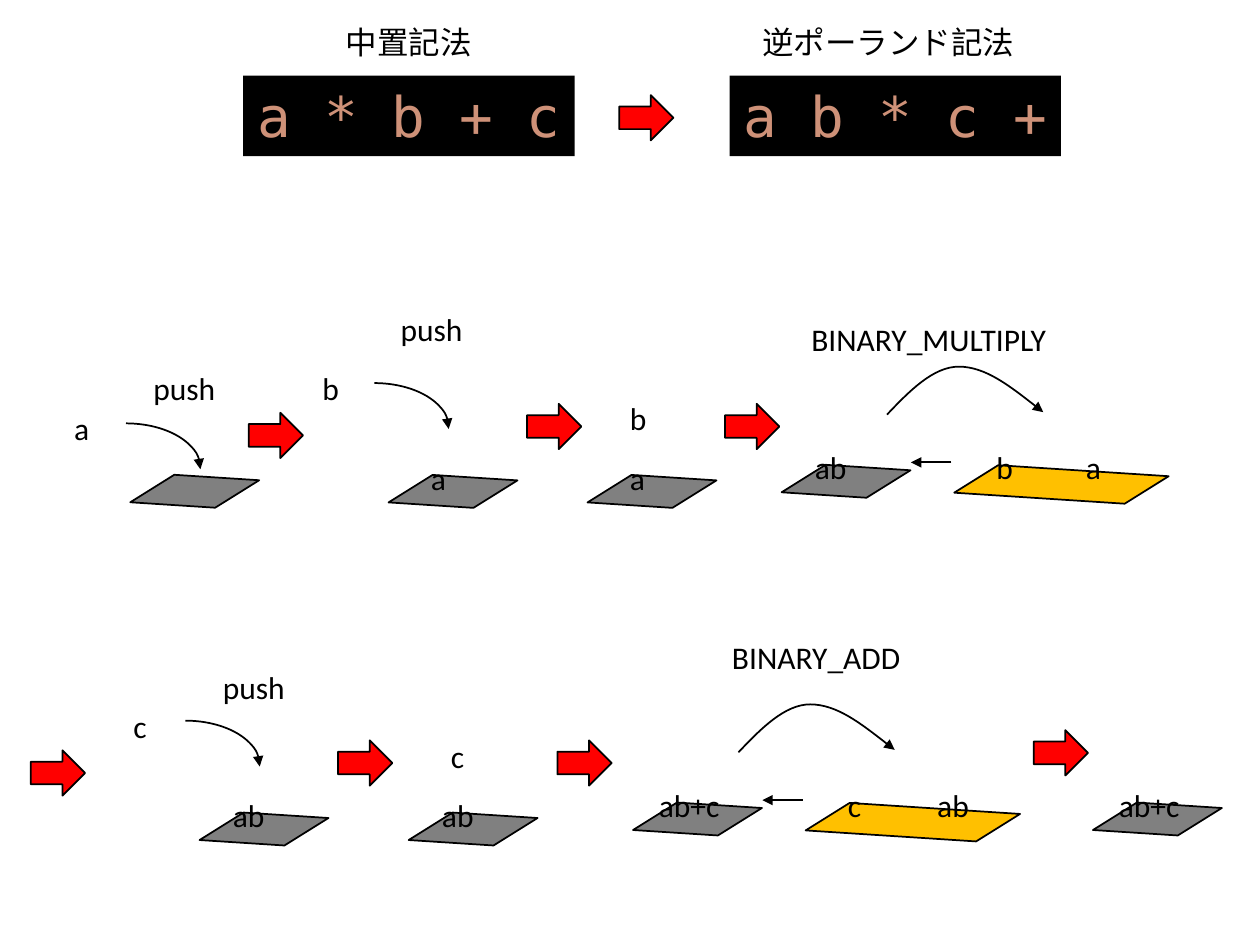
from dataclasses import dataclass
from lxml.etree import SubElement
from pptx import Presentation
from pptx.dml.color import RGBColor
from pptx.enum.shapes import MSO_CONNECTOR as Connector, MSO_SHAPE as Shape
from pptx.enum.text import MSO_ANCHOR as Anchor, MSO_AUTO_SIZE as AutoSize, PP_ALIGN as Align
from pptx.oxml.ns import qn
from pptx.util import Pt


@dataclass(frozen=True)
class Theme:
    ink: RGBColor = RGBColor(0, 0, 0)
    code: RGBColor = RGBColor(0xCE, 0x91, 0x78)
    arrow: RGBColor = RGBColor(0xFF, 0, 0)
    stack: RGBColor = RGBColor(0x80, 0x80, 0x80)
    operands: RGBColor = RGBColor(0xFF, 0xC0, 0)
    body_font: str = "Calibri"
    code_font: str = "DejaVu Sans Mono"
    body_size: int = 18
    code_size: int = 32
    line: float = 1


THEME = Theme()
LABEL_HEIGHT = 29.1
PLATE_WIDTH, OPERANDS_WIDTH, PLATE_HEIGHT = 72.7, 121.7, 17.3
VALUE_RISE = 13.7
VALUE_WIDTH = {"a": 24.5, "b": 24.5, "c": 22.3, "ab": 33.1, "ab+c": 49.7}
VALUE_INSET = {"a": 16.6, "b": 16.6, "c": 16.6, "ab": 11.5, "ab+c": 7.2}


def write(shape, text, font, size, color, align):
    frame = shape.text_frame
    frame.word_wrap = False
    frame.auto_size = AutoSize.SHAPE_TO_FIT_TEXT
    frame.vertical_anchor = Anchor.TOP
    frame.text = text
    paragraph = frame.paragraphs[0]
    paragraph.alignment = align
    run_font = paragraph.runs[0].font
    run_font.name, run_font.size, run_font.color.rgb = font, Pt(size), color


def add_label(slide, text, left, top, width, align=Align.LEFT):
    label = slide.shapes.add_textbox(Pt(left), Pt(top), Pt(width), Pt(LABEL_HEIGHT))
    write(label, text, THEME.body_font, THEME.body_size, THEME.ink, align)


def add_value(slide, text, left, top):
    add_label(slide, text, left, top, VALUE_WIDTH[text])


def add_outlined(slide, preset, left, top, width, height, fill):
    shape = slide.shapes.add_shape(preset, Pt(left), Pt(top), Pt(width), Pt(height))
    shape.shadow.inherit = False
    if fill is None:
        shape.fill.background()
    else:
        shape.fill.solid()
        shape.fill.fore_color.rgb = fill
    draw_line(shape)
    return shape


def draw_line(shape):
    shape.line.color.rgb = THEME.ink
    shape.line.width = Pt(THEME.line)


def point_end(shape):
    SubElement(shape.line._get_or_add_ln(), qn("a:tailEnd"), type="triangle")


def add_arrow(slide, left, top):
    arrow = add_outlined(slide, Shape.DOWN_ARROW, left, top, 25.9, 31, THEME.arrow)
    arrow.rotation = 270


def add_plate(slide, left, top, width=PLATE_WIDTH, fill=THEME.stack):
    plate = add_outlined(slide, Shape.PARALLELOGRAM, left, top, width, PLATE_HEIGHT, fill)
    plate.adjustments[0] = 1.393
    plate.rotation = 3.7


def add_stack(slide, left, top, value):
    add_plate(slide, left, top)
    if value:
        add_value(slide, value, left + VALUE_INSET[value], top - VALUE_RISE)


def add_curve(slide, left, top):
    controls = [(13, -13.7), (26.6, -27.4), (41, -27.4),
                (56.2, -27.4), (72.7, -14.4), (89.3, -1.4)]
    builder = slide.shapes.build_freeform(Pt(left), Pt(top))
    builder.add_line_segments([(Pt(left + x), Pt(top + y)) for x, y in controls], close=False)
    curve = builder.convert_to_shape()
    outline = next(curve._element.iter(qn("a:path")))
    segments = outline.findall(qn("a:lnTo"))
    for half in (segments[:3], segments[3:]):
        bezier = SubElement(outline, qn("a:cubicBezTo"))
        for segment in half:
            bezier.append(segment[0])
            outline.remove(segment)
    curve.shadow.inherit = False
    curve.fill.background()
    draw_line(curve)
    point_end(curve)


def notation(slide, left, top, title, expression, title_left, title_width):
    panel = slide.shapes.add_shape(Shape.RECTANGLE, Pt(left), Pt(top + 33.8), Pt(189.4), Pt(46.1))
    panel.shadow.inherit = False
    panel.fill.solid()
    panel.fill.fore_color.rgb = THEME.ink
    panel.line.fill.background()
    write(panel, expression, THEME.code_font, THEME.code_size, THEME.code, Align.CENTER)
    add_label(slide, title, left + title_left, top, title_width, Align.CENTER)


def push_step(slide, left, top, value, stacked, plate_offset, caption_offset):
    add_value(slide, value, left + 5.8, top - 11.5)
    arc = add_outlined(slide, Shape.ARC, left, top, 85, 51.1, None)
    arc.adjustments[0], arc.adjustments[1] = 162, 0.538
    point_end(arc)
    add_label(slide, "push", left + caption_offset[0], top + caption_offset[1], 50.4)
    add_stack(slide, left + plate_offset[0], top + plate_offset[1], stacked)


def stacked_step(slide, left, top, upper, lower):
    add_stack(slide, left, top, lower)
    add_value(slide, upper, left + VALUE_INSET[upper], top - 47.5)


def binary_step(slide, left, top, operation, operands, result, caption_offset, caption_width):
    add_plate(slide, left + 98.6, top + 1.8, OPERANDS_WIDTH, THEME.operands)
    for operand, offset in zip(operands, (115.2, 166.3)):
        add_value(slide, operand, left + offset, top - VALUE_RISE)
    add_stack(slide, left, top, result)
    store = slide.shapes.add_connector(
        Connector.STRAIGHT, Pt(left + 96.5), Pt(top - 2.2), Pt(left + 73.4), Pt(top - 2.2))
    draw_line(store)
    point_end(store)
    SubElement(store._element.spPr, qn("a:effectLst"))
    add_curve(slide, left + 59.8, top - 29.5)
    add_label(slide, operation, left + caption_offset[0], top + caption_offset[1], caption_width)


def main():
    deck = Presentation()
    deck.slide_width, deck.slide_height = Pt(720), Pt(540)
    slide = deck.slides.add_slide(deck.slide_layouts[6])

    notation(slide, 139, 9.4, "中置記法", "a * b + c", 51.1, 87.1)
    notation(slide, 416.9, 9.4, "逆ポーランド記法", "a b * c +", 10.8, 159.8)

    push_step(slide, 29.5, 241.9, "a", None, (45.4, 30.2), (51.1, -34.6))
    push_step(slide, 171.4, 218.9, "b", "a", (51.1, 53.3), (50.4, -45.4))
    stacked_step(slide, 336.2, 272.2, "b", "a")
    binary_step(slide, 447.1, 266.4, "BINARY_MULTIPLY", ("b", "a"), "ab", (9.4, -87.1), 149.8)

    push_step(slide, 63.4, 411.8, "c", "ab", (51.1, 53.3), (56.9, -33.8))
    stacked_step(slide, 234, 465.1, "c", "ab")
    binary_step(slide, 362.2, 459.4, "BINARY_ADD", ("c", "ab"), "ab+c", (49, -98.6), 111.6)
    add_stack(slide, 625, 459.4, "ab+c")

    for left, top in ((356.4, 51.8), (144.7, 233.3), (303.8, 228.2), (416.9, 228.2),
                      (20.2, 426.2), (195.8, 420.5), (321.1, 420.5), (593.3, 414.7)):
        add_arrow(slide, left, top)

    deck.save("out.pptx")


if __name__ == "__main__":
    main()
